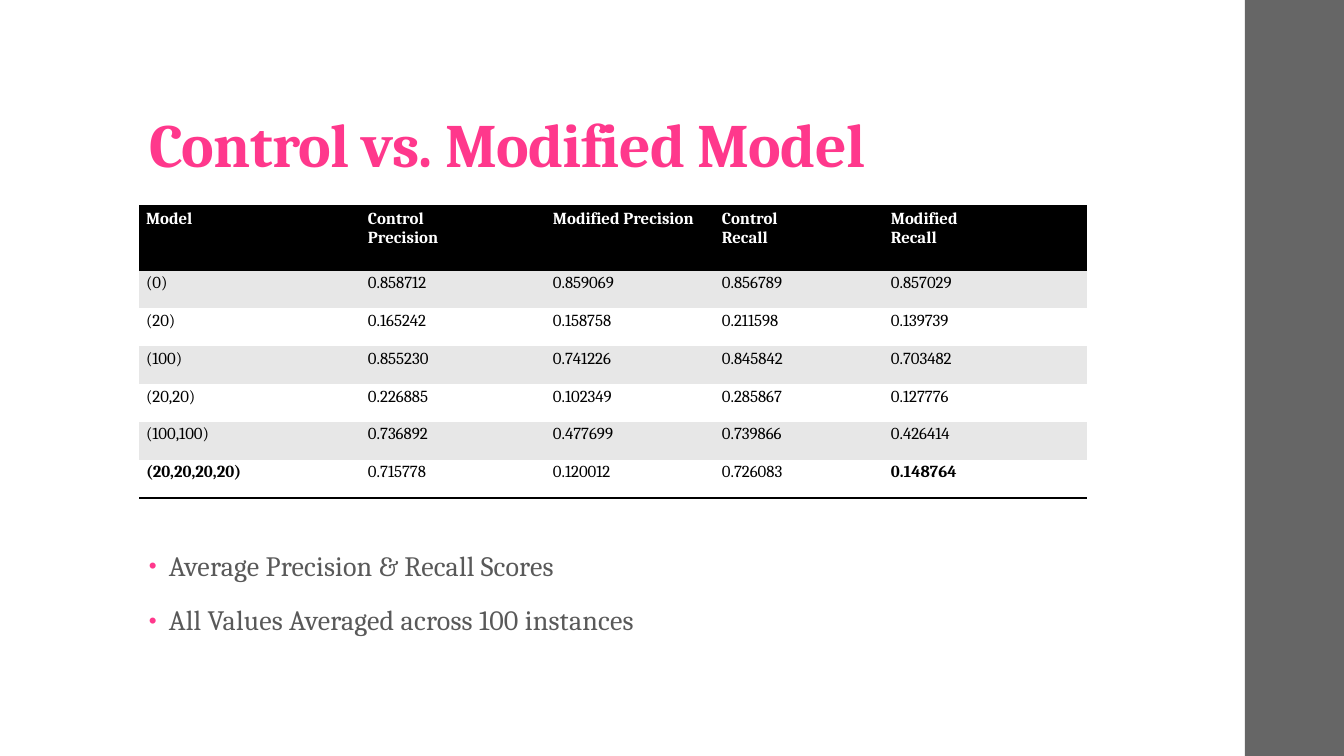
"""Build a slide comparing precision and recall of a control and a modified model."""
import pptx
import pptx.dml.color
import pptx.enum.shapes
import pptx.enum.text
import pptx.oxml
import pptx.oxml.ns
import pptx.util

PINK = pptx.dml.color.RGBColor(0xFF, 0x38, 0x8C)
GRAY = pptx.dml.color.RGBColor(0x59, 0x59, 0x59)
BAR_GRAY = pptx.dml.color.RGBColor(0x66, 0x66, 0x66)
BAND_GRAY = pptx.dml.color.RGBColor(0xE7, 0xE7, 0xE7)
BLACK = pptx.dml.color.RGBColor(0, 0, 0)
WHITE = pptx.dml.color.RGBColor(0xFF, 0xFF, 0xFF)
FONT = "Cambria"
NO_STYLE_NO_GRID = "{2D5ABB26-0587-4C30-8999-92F81FD0307C}"
HEADERS = ["Model", "Control\nPrecision", "Modified Precision", "Control\nRecall", "Modified\nRecall"]
SCORES = [
    ["(0)", "0.858712", "0.859069", "0.856789", "0.857029"],
    ["(20)", "0.165242", "0.158758", "0.211598", "0.139739"],
    ["(100)", "0.855230", "0.741226", "0.845842", "0.703482"],
    ["(20,20)", "0.226885", "0.102349", "0.285867", "0.127776"],
    ["(100,100)", "0.736892", "0.477699", "0.739866", "0.426414"],
    ["(20,20,20,20)", "0.715778", "0.120012", "0.726083", "0.148764"],
]
HIGHLIGHTS = {"(20,20,20,20)", "0.148764"}
COLUMN_WIDTHS = [222, 185, 169, 169, 203]
HEADER_HEIGHT, ROW_HEIGHT = 64, 38
LEFT, CONTENT_WIDTH = 139, sum(COLUMN_WIDTHS)


def px(length):
    return pptx.util.Emu(round(length * 914400 / 100.8))


def write_text(frame, text, *, size, color, bold=False, line_spacing=None,
               before=0, after=0, tracking=0, bullet_color=None):
    frame.text = text
    frame.word_wrap = True
    for paragraph in frame.paragraphs:
        paragraph.alignment = pptx.enum.text.PP_ALIGN.LEFT
        paragraph.line_spacing = line_spacing
        paragraph.space_before = pptx.util.Pt(before)
        paragraph.space_after = pptx.util.Pt(after)
        if bullet_color is not None:
            properties = paragraph._p.get_or_add_pPr()
            properties.set("marL", str(px(20)))
            properties.set("indent", str(-px(20)))
            namespace = pptx.oxml.ns.nsdecls("a")
            for bullet in (f'<a:buClr {namespace}><a:srgbClr val="{bullet_color}"/></a:buClr>',
                           f'<a:buSzPct {namespace} val="80000"/>',
                           f'<a:buFont {namespace} typeface="Arial"/>',
                           f'<a:buChar {namespace} char="•"/>'):
                properties.append(pptx.oxml.parse_xml(bullet))
        for run in paragraph.runs:
            run.font.name = FONT
            run.font.size = pptx.util.Pt(size)
            run.font.bold = bold
            run.font.color.rgb = color
            if tracking:
                run._r.get_or_add_rPr().set("spc", str(round(tracking * 100)))


presentation = pptx.Presentation()
presentation.slide_width, presentation.slide_height = px(1344), px(756)
slide = presentation.slides.add_slide(presentation.slide_layouts[5])
slide.background.fill.solid()
slide.background.fill.fore_color.rgb = WHITE

side_bar = slide.shapes.add_shape(pptx.enum.shapes.MSO_SHAPE.RECTANGLE, px(1245), 0, px(99), px(756))
side_bar.shadow.inherit = False
side_bar.fill.solid()
side_bar.fill.fore_color.rgb = BAR_GRAY
side_bar.line.fill.background()

title = slide.shapes.title
title.left, title.top, title.width, title.height = px(LEFT), px(29), px(1068), px(157)
title_frame = title.text_frame
title_frame.vertical_anchor = pptx.enum.text.MSO_ANCHOR.BOTTOM
title_frame.auto_size = pptx.enum.text.MSO_AUTO_SIZE.NONE
title_frame.margin_left = title_frame.margin_right = px(10)
title_frame.margin_top, title_frame.margin_bottom = px(3), px(5)
write_text(title_frame, "Control vs. Modified Model", size=44, color=PINK, bold=True,
           line_spacing=0.9, tracking=-0.5)

notes_box = slide.shapes.add_textbox(px(LEFT), px(546), px(CONTENT_WIDTH), px(135))
write_text(notes_box.text_frame,
           "Average Precision & Recall Scores\nAll Values Averaged across 100 instances",
           size=20, color=GRAY, line_spacing=0.95, before=14, after=2, tracking=0.1,
           bullet_color=PINK)

table_height = HEADER_HEIGHT + ROW_HEIGHT * len(SCORES)
table_shape = slide.shapes.add_table(len(SCORES) + 1, len(HEADERS), px(LEFT), px(206),
                                     px(CONTENT_WIDTH), px(table_height))
table = table_shape.table
table.horz_banding = False
table._tbl.tblPr.find(pptx.oxml.ns.qn("a:tableStyleId")).text = NO_STYLE_NO_GRID
for column, width in zip(table.columns, COLUMN_WIDTHS):
    column.width = px(width)

for row_index, values in enumerate([HEADERS] + SCORES):
    is_header = row_index == 0
    table.rows[row_index].height = px(HEADER_HEIGHT if is_header else ROW_HEIGHT)
    fill_color = BLACK if is_header else BAND_GRAY if row_index % 2 else WHITE
    border_sides = ["lnT", "lnB"] if is_header else ["lnB"] if row_index == len(SCORES) else []
    for column_index, value in enumerate(values):
        cell = table.cell(row_index, column_index)
        cell.margin_left = cell.margin_right = px(7)
        cell.margin_top = cell.margin_bottom = px(3)
        cell.fill.solid()
        cell.fill.fore_color.rgb = fill_color
        write_text(cell.text_frame, value, size=12, color=WHITE if is_header else BLACK,
                   bold=is_header or value in HIGHLIGHTS)
        for position, side in enumerate(border_sides):
            border = pptx.oxml.parse_xml(
                f'<a:{side} {pptx.oxml.ns.nsdecls("a")} w="{pptx.util.Pt(2)}"><a:solidFill>'
                f'<a:srgbClr val="{BLACK}"/></a:solidFill></a:{side}>')
            cell._tc.get_or_add_tcPr().insert(position, border)

presentation.save("out.pptx")
